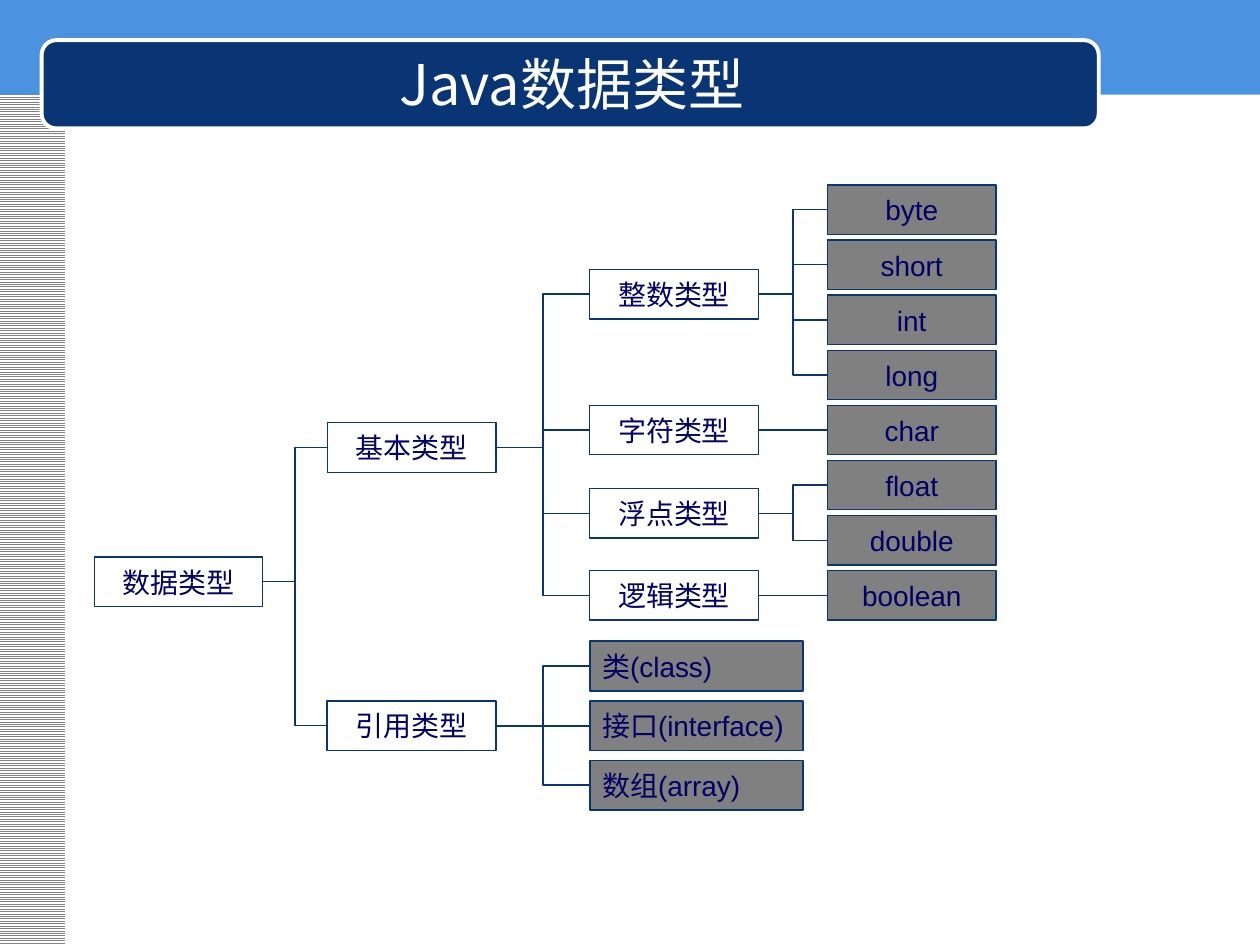
import pptx
import pptx.dml.color
import pptx.enum.dml
import pptx.enum.shapes
import pptx.enum.text
import pptx.oxml
import pptx.oxml.ns
import pptx.util

Cm, Pt = pptx.util.Cm, pptx.util.Pt
RGBColor = pptx.dml.color.RGBColor
Geometry = pptx.enum.shapes.MSO_SHAPE
Connector = pptx.enum.shapes.MSO_CONNECTOR
Align = pptx.enum.text.PP_ALIGN

WHITE = RGBColor(0xFF, 0xFF, 0xFF)
SKY = RGBColor(0x4B, 0x92, 0xE1)
NAVY = RGBColor(0x09, 0x35, 0x75)
INK = RGBColor(0x00, 0x00, 0x66)
GREY = RGBColor(0x80, 0x80, 0x80)
LATIN, CJK = "Arial", "Noto Sans CJK SC"

COLUMNS = (0, 4.7, 9.99, 14.78)
NODE_WIDTH, REFERENCE_WIDTH, NODE_HEIGHT = 3.4, 4.3, 1.0
PRIMITIVE_STEP, REFERENCE_STEP = 1.11, 1.2
LEFT_SITE, RIGHT_SITE = 1, 3


def primitives(first, *names):
    """Leaf nodes of the last column, from row number first."""
    return [(name, (first + row) * PRIMITIVE_STEP, [])
            for row, name in enumerate(names)]


BASIC = ("基本类型", 4.79, [
    ("整数类型", 1.7, primitives(0, "byte", "short", "int", "long")),
    ("字符类型", 4.44, primitives(4, "char")),
    ("浮点类型", 6.12, primitives(5, "float", "double")),
    ("逻辑类型", 7.77, primitives(7, "boolean")),
])
REFERENCE = ("引用类型", 10.4, [
    (name, 9.2 + row * REFERENCE_STEP, [])
    for row, name in enumerate(("类(class)", "接口(interface)", "数组(array)"))
])
DATA_TYPES = ("数据类型", 7.5, [BASIC, REFERENCE])


def format_text(paragraph, size, color, latin, align):
    """Set the alignment and the fonts of a paragraph."""
    paragraph.alignment = align
    font = paragraph.font
    font.size, font.name = Pt(size), latin
    font.color.rgb = color
    east_asian = pptx.oxml.parse_xml(
        f'<a:ea {pptx.oxml.ns.nsdecls("a")} typeface="{CJK}"/>')
    paragraph._p.find(".//" + pptx.oxml.ns.qn("a:latin")).addnext(east_asian)


def add_panel(shapes, geometry, left, top, width, height, fill=None):
    """Add a preset shape without shadow or outline; sizes in cm."""
    panel = shapes.add_shape(geometry, Cm(left), Cm(top), Cm(width), Cm(height))
    panel.shadow.inherit = False
    panel.line.fill.background()
    if fill is None:
        panel.fill.background()
    else:
        panel.fill.solid()
        panel.fill.fore_color.rgb = fill
    return panel


def add_backdrop(slide, width, height):
    """Add the striped side band and the top band of the slide."""
    stripes = add_panel(slide.shapes, Geometry.RECTANGLE, 0, 0, 1.32, height)
    stripes.fill.patterned()
    stripes.fill.pattern = pptx.enum.dml.MSO_PATTERN.LIGHT_HORIZONTAL
    stripes.fill.fore_color.rgb = GREY
    stripes.fill.back_color.rgb = WHITE
    add_panel(slide.shapes, Geometry.RECTANGLE, 0, 0, width, 1.91, SKY)


def add_heading(slide, left, top, width, height, text):
    """Add the rounded banner with the slide title on it."""
    banner = add_panel(slide.shapes, Geometry.ROUNDED_RECTANGLE,
                       left, top, width, height, NAVY)
    banner.line.color.rgb, banner.line.width = WHITE, Pt(2.25)
    title = slide.shapes.title
    title.left, title.top = Cm(left + 0.43), Cm(top + 0.08)
    title.width, title.height = Cm(width - 0.79), Cm(height - 0.2)
    frame = title.text_frame
    frame.text = text
    frame.auto_size = pptx.enum.text.MSO_AUTO_SIZE.NONE
    frame.vertical_anchor = pptx.enum.text.MSO_ANCHOR.MIDDLE
    format_text(frame.paragraphs[0], 32, WHITE, CJK, Align.CENTER)
    title.element.getparent().append(title.element)


def add_branch(shapes, parent, child, weight):
    """Join the right side of parent to the left side of child."""
    level = abs(parent.top - child.top) < Cm(0.02)
    branch = shapes.add_connector(
        Connector.STRAIGHT if level else Connector.ELBOW, 0, 0, 0, 0)
    branch.begin_connect(parent, RIGHT_SITE)
    branch.end_connect(child, LEFT_SITE)
    branch.line.color.rgb, branch.line.width = NAVY, Pt(weight)
    branch.element.spPr.append(pptx.oxml.parse_xml(
        f'<a:effectLst {pptx.oxml.ns.nsdecls("a")}/>'))


def add_type_tree(shapes, left, top, entry, depth=0, weight=0.75):
    """Add an entry and its subtypes, with left and top as the origin."""
    name, offset, subtypes = entry
    if entry is REFERENCE:
        weight = 1
    is_reference = entry in REFERENCE[2]
    node = add_panel(shapes, Geometry.RECTANGLE,
                     left + COLUMNS[depth], top + offset,
                     REFERENCE_WIDTH if is_reference else NODE_WIDTH,
                     NODE_HEIGHT, None if subtypes else GREY)
    node.line.color.rgb, node.line.width = NAVY, Pt(weight)
    node.text_frame.text = name
    format_text(node.text_frame.paragraphs[0], 16, INK, LATIN,
                Align.LEFT if is_reference else Align.CENTER)
    for subtype in subtypes:
        child = add_type_tree(shapes, left, top, subtype, depth + 1, weight)
        # The trunk of the tree keeps the thin line.
        add_branch(shapes, node, child, weight)
    return node


def main():
    """Build and save the slide."""
    deck = pptx.Presentation()
    deck.slide_width, deck.slide_height = Cm(25.4), Cm(19.05)
    slide = deck.slides.add_slide(deck.slide_layouts[5])
    add_backdrop(slide, 25.4, 19.05)
    add_heading(slide, 0.84, 0.81, 21.31, 1.78, "Java数据类型")
    add_type_tree(slide.shapes, 1.9, 3.73, DATA_TYPES)
    deck.save("out.pptx")


main()
